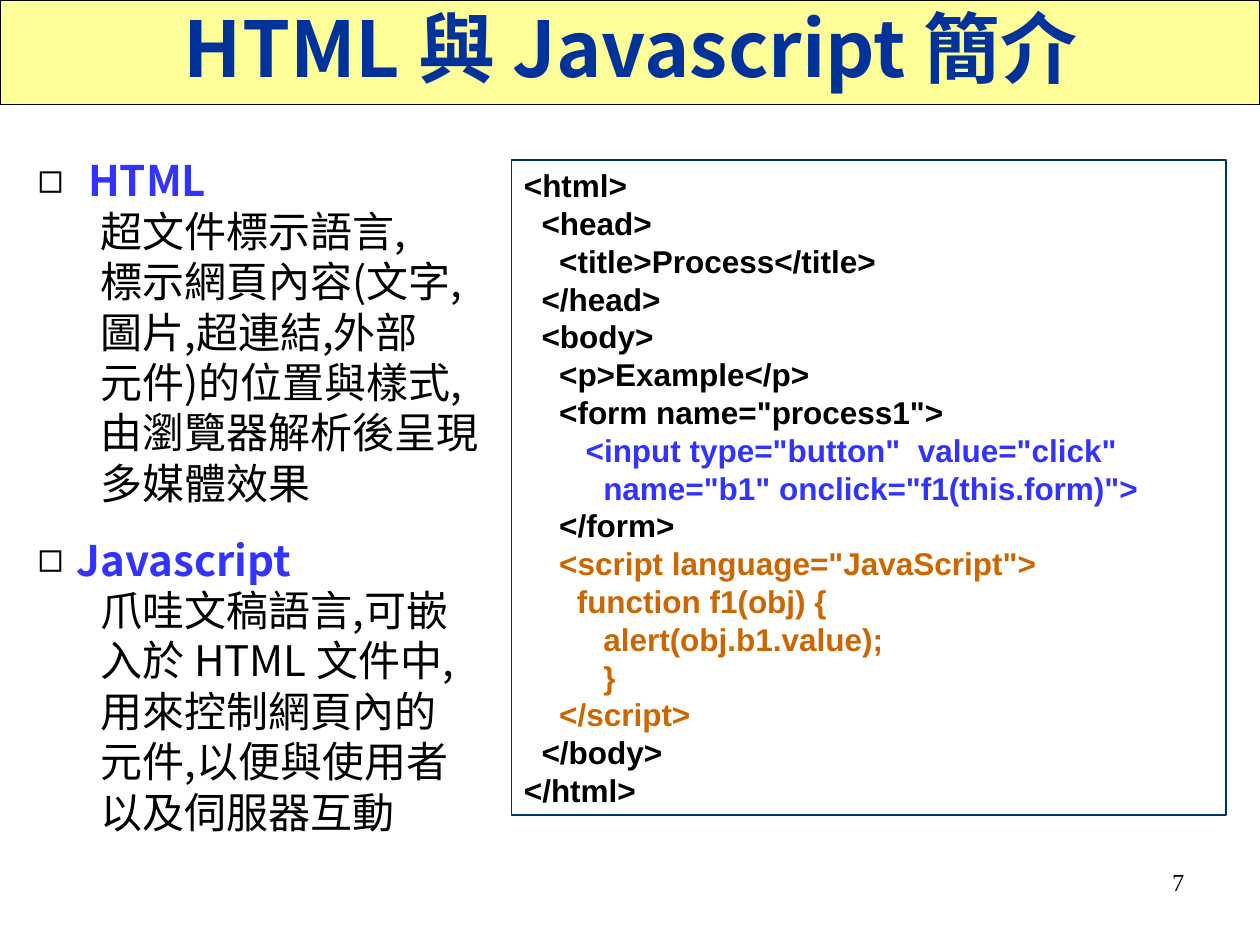
from lxml import etree
from pptx import Presentation
from pptx.dml.color import RGBColor
from pptx.enum.shapes import MSO_SHAPE
from pptx.enum.text import MSO_ANCHOR, MSO_AUTO_SIZE, PP_ALIGN
from pptx.oxml.ns import qn
from pptx.util import Inches, Pt

RECTANGLE = MSO_SHAPE.RECTANGLE
TOP, MIDDLE = MSO_ANCHOR.TOP, MSO_ANCHOR.MIDDLE
LEFT, CENTER, RIGHT = PP_ALIGN.LEFT, PP_ALIGN.CENTER, PP_ALIGN.RIGHT
NO_AUTOFIT = MSO_AUTO_SIZE.NONE

CJK, SANS, SERIF = "Noto Sans CJK SC", "Arial", "Times New Roman"
BLACK, NAVY, BLUE, ORANGE = "000000", "003399", "3333FF", "CC6600"
YELLOW, FRAME = "FFFF99", "003366"
SPACE_WIDTH = 0.07  # one code column in inches

# Heading, its left margin and the lines that explain it
TOPICS = [
    ("HTML", 0.4, ["超文件標示語言,", "標示網頁內容(文字,", "圖片,超連結,外部",
                   "元件)的位置與樣式,", "由瀏覽器解析後呈現", "多媒體效果"]),
    ("Javascript", 0.31, ["爪哇文稿語言,可嵌", "入於 HTML 文件中,", "用來控制網頁內的",
                          "元件,以便與使用者", "以及伺服器互動"]),
]

# Indent in columns, code and colour
CODE = [
    (0, "<html>", BLACK),
    (2, "<head>", BLACK),
    (4, "<title>Process</title>", BLACK),
    (2, "</head>", BLACK),
    (2, "<body>", BLACK),
    (4, "<p>Example</p>", BLACK),
    (4, '<form name="process1">', BLACK),
    (7, '<input type="button"  value="click"', BLUE),
    (9, 'name="b1" onclick="f1(this.form)">', BLUE),
    (4, "</form>", BLACK),
    (4, '<script language="JavaScript">', ORANGE),
    (6, "function f1(obj) {", ORANGE),
    (9, "alert(obj.b1.value);", ORANGE),
    (9, "}", ORANGE),
    (4, "</script>", ORANGE),
    (2, "</body>", BLACK),
    (0, "</html>", BLACK),
]


def rgb(value):
    return RGBColor.from_string(value)


def apply(target, values):
    for name, value in values.items():
        setattr(target, name, value)


class SlideBuilder:
    def __init__(self, slide):
        self.slide = slide

    def frame(self, shape, anchor=TOP, inset_top=0.05):
        text_frame = shape.text_frame
        apply(text_frame, {
            "word_wrap": True, "auto_size": NO_AUTOFIT, "vertical_anchor": anchor,
            "margin_left": Inches(0.1), "margin_right": Inches(0.1),
            "margin_top": Inches(inset_top), "margin_bottom": Inches(0.05)})
        return text_frame

    def box(self, left, top, width, height, line, fill=None):
        shape = self.slide.shapes.add_shape(
            RECTANGLE, Inches(left), Inches(top), Inches(width), Inches(height))
        shape.shadow.inherit = False
        if fill:
            shape.fill.solid()
            shape.fill.fore_color.rgb = rgb(fill)
        else:
            shape.fill.background()
        shape.line.color.rgb = rgb(line)
        shape.line.width = Pt(0.75)
        return shape

    def text_box(self, left, top, width, height, inset_top=0.05):
        shape = self.slide.shapes.add_textbox(
            Inches(left), Inches(top), Inches(width), Inches(height))
        return self.frame(shape, inset_top=inset_top)

    def title(self, text, left, top, width, height):
        title = self.slide.shapes.title
        apply(title, {"left": Inches(left), "top": Inches(top),
                      "width": Inches(width), "height": Inches(height)})
        # The title lies in front of the banner
        self.slide.shapes.element.append(title.element)
        self.paragraph(self.frame(title, MIDDLE), text, 44, CJK, NAVY,
                       bold=True, alignment=CENTER)

    def paragraph(self, frame, text, size, font, color, bold=False, margin=0,
                  bullet=None, **layout):
        paragraph = frame.paragraphs[0]
        if paragraph.runs:
            paragraph = frame.add_paragraph()
        apply(paragraph, {"alignment": LEFT, "space_before": Pt(0), **layout})
        lines = text.split("\n")
        for number, line in enumerate(lines):
            if number:
                paragraph.add_line_break()
            run = paragraph.add_run()
            run.text = line
            apply(run.font, {"size": Pt(size), "name": font, "bold": bold})
            run.font.color.rgb = rgb(color)
            east_asian = etree.SubElement(run.font._element, qn("a:ea"))
            east_asian.set("typeface", CJK)
        properties = paragraph._p.get_or_add_pPr()
        properties.set("marL", str(Inches(margin)))
        properties.set("indent", str(-Inches(margin) if bullet else 0))
        if bullet:
            bullet_color = etree.SubElement(properties, qn("a:buClr"))
            etree.SubElement(bullet_color, qn("a:srgbClr")).set("val", BLACK)
            etree.SubElement(properties, qn("a:buFont")).set("typeface", SANS)
            etree.SubElement(properties, qn("a:buChar")).set("char", bullet)


def main():
    presentation = Presentation()
    presentation.slide_width, presentation.slide_height = Inches(10), Inches(7.5)
    slide = presentation.slides.add_slide(presentation.slide_layouts[5])
    builder = SlideBuilder(slide)

    # Banner and title
    builder.box(0, 0, 10, 0.83, BLACK, YELLOW)
    builder.title("HTML 與 Javascript 簡介", 0.67, -0.17, 8.67, 1.08)

    # Topics
    topics = builder.text_box(0.2, 1.15, 4.41, 5.51, inset_top=0.08)
    for heading, margin, lines in TOPICS:
        builder.paragraph(topics, heading, 24, CJK, BLUE, bold=True, margin=margin,
                          bullet="◻", space_before=Pt(15), line_spacing=Pt(28.8))
        builder.paragraph(topics, "\n".join(lines), 24, CJK, BLACK, margin=0.5,
                          line_spacing=Pt(28.8))

    # Code example
    example = builder.frame(builder.box(4.06, 1.27, 5.67, 5.2, FRAME))
    for columns, code, color in CODE:
        builder.paragraph(example, code, 18, SANS, color, bold=True,
                          margin=columns * SPACE_WIDTH, line_spacing=Pt(21.6))

    # Page number
    page_number = builder.text_box(7.17, 6.83, 2.33, 0.52)
    builder.paragraph(page_number, "7", 14, SERIF, BLACK, alignment=RIGHT)

    presentation.save("out.pptx")


if __name__ == "__main__":
    main()
